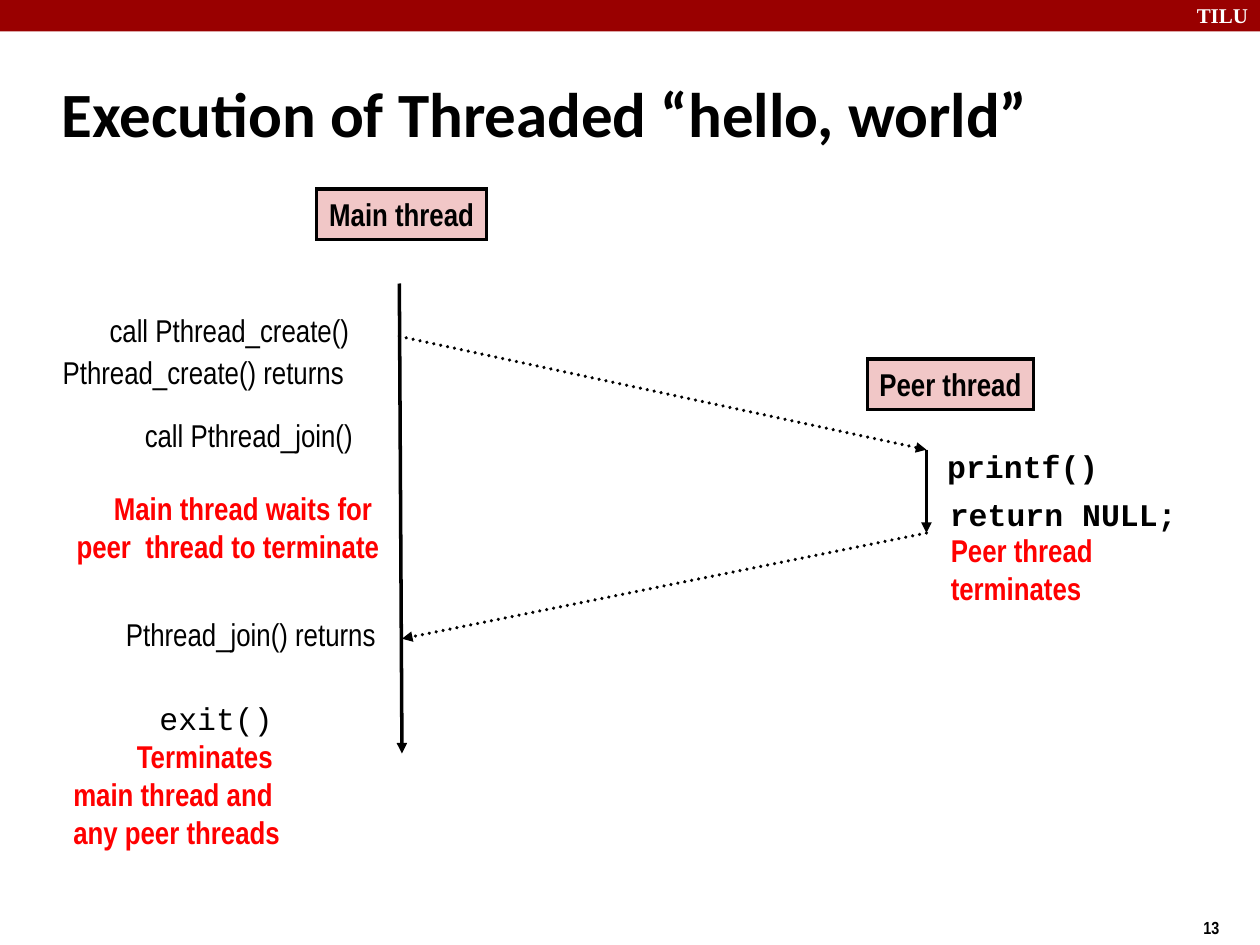
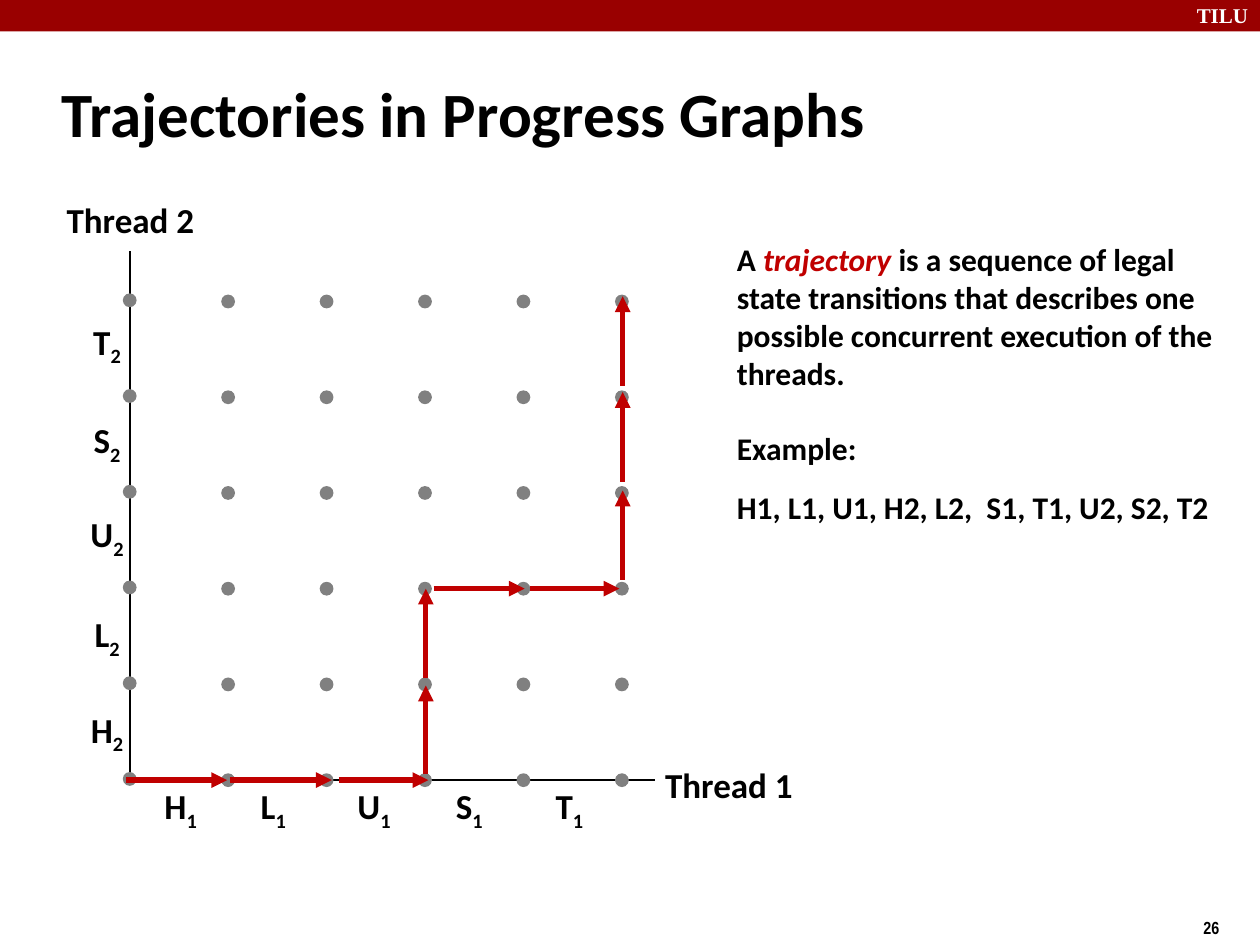
from lxml import etree
from pptx import Presentation
from pptx.dml.color import RGBColor
from pptx.enum.dml import MSO_LINE
from pptx.enum.shapes import MSO_CONNECTOR, MSO_SHAPE
from pptx.enum.text import MSO_ANCHOR, PP_ALIGN
from pptx.oxml.ns import qn
from pptx.util import Pt

# Shared look
BLACK, WHITE, BAND, ALERT, ACCENT = "000000", "FFFFFF", "990000", "FF0000", "C00000"
PINK, GREY = "F1C7C7", "808080"
NARROW = dict(font="Arial Narrow", size=18)
NARROW_BOLD = dict(NARROW, bold=True)
WARNING = dict(NARROW_BOLD, color=ALERT)
CODE = dict(font="Courier New", size=18)
CODE_BOLD = dict(CODE, bold=True)
TITLE = dict(font="Calibri", size=36, bold=True)
BODY = dict(TITLE, size=18)
AXIS = dict(TITLE, size=20)
BRAND = dict(font="Times New Roman", size=12, bold=True, color=WHITE)
PAGE = dict(NARROW_BOLD, size=10)
LEFT, CENTER, RIGHT = PP_ALIGN.LEFT, PP_ALIGN.CENTER, PP_ALIGN.RIGHT
TOP, MIDDLE = MSO_ANCHOR.TOP, MSO_ANCHOR.MIDDLE

# Slide 1: boxes are (left, top, width, height)
THREADS = [("Main thread", (180.9, 108, 97.2, 28.8)),
           ("Peer thread", (495.6, 205.2, 95, 28.8))]
EVENTS = [  # box, alignment, anchor, lines made of (text, style) runs
    ((56.2, 174.2, 150.5, 28.8), RIGHT, TOP, [[("call Pthread_create()", NARROW)]]),
    ((30.2, 198, 173.5, 28.8), RIGHT, TOP, [[("Pthread_create() returns", NARROW)]]),
    ((76.3, 234, 132.5, 28.8), RIGHT, TOP, [[("call Pthread_join()", NARROW)]]),
    ((37.4, 275.8, 186.5, 50.4), RIGHT, MIDDLE,
     [[("Main thread waits for ", WARNING)], [("peer  thread to terminate", WARNING)]]),
    ((23.8, 347.8, 198, 28.8), RIGHT, TOP, [[("Pthread_join() returns", NARROW)]]),
    ((35.3, 396, 131.8, 93.6), RIGHT, MIDDLE,
     [[("exit()", CODE), (" ", NARROW)], [("Terminates ", WARNING)],
      [("main thread and ", WARNING)], [("any peer threads", WARNING)]]),
    ((534.2, 252, 100.8, 28.8), LEFT, MIDDLE, [[("printf()", CODE_BOLD)]]),
    ((535.7, 279.4, 144, 28.8), LEFT, MIDDLE, [[("return NULL;", CODE_BOLD)]]),
    ((536.2, 300.2, 95, 50.4), LEFT, TOP,
     [[("Peer thread", WARNING)], [("terminates", WARNING)]]),
]
MAIN_START, MAIN_END = (228.2, 162), (229.7, 430.6)
PEER_START, PEER_END = (529.4, 257), (529.4, 304.6)
CREATE, JOIN = (228.2, 192.2), (229.7, 365)

# Slide 2
STEPS = [  # letter, centre along the Thread 1 axis, centre along the Thread 2 axis
    ("H", 103.3, 418.3), ("L", 156.2, 363.6), ("U", 213.8, 306.7),
    ("S", 268.2, 252.7), ("T", 325.4, 196.6)]
GRID_X, GRID_Y, COL_GAP, ROW_GAP = 74.1, 445.8, 56.25, 54.7
DOT = 5.8
AXIS_NAMES = [("Thread 1", (373, 432.7, 87.1, 31)), ("Thread 2", (31, 110.2, 87.1, 31))]
TRAJECTORY = [  # move, gap after its first dot, reach past its last dot
    ("H1", -2, -0.5), ("L1", 1, 3), ("U1", 7, 2), ("H2", 3.6, -0.7), ("L2", 3.6, 0),
    ("S1", 5, 0.7), ("T1", 3.6, -1.4), ("U2", 5, 1.4), ("S2", 6.5, 3), ("T2", 6.5, 3)]
EXPLANATION = [  # space before, runs
    (0, [("A ", BODY), ("trajectory", dict(BODY, color=ACCENT, italic=True)),
         (" is a sequence of legal state transitions that describes one "
          "possible concurrent execution of the threads.", BODY)]),
    (21.6, [("Example:", BODY)]),
    (12, [("H1, L1, U1, H2, L2,  S1, T1, U2, S2, T2", BODY)])]


def rgb(color):
    return RGBColor.from_string(color)


def add_run(paragraph, text, font, size, bold=False, italic=False, color=BLACK, baseline=0):
    run = paragraph.add_run()
    run.text = text
    run.font.name, run.font.size = font, Pt(size)
    run.font.bold, run.font.italic = bold, italic
    run.font.color.rgb = rgb(color)
    if baseline:
        run.font._element.set("baseline", str(baseline * 1000))


def write(shape, paragraphs, align=LEFT, anchor=TOP, wrap=False):
    """Fill a shape with paragraphs given as (space before, runs)."""
    frame = shape.text_frame
    frame.word_wrap, frame.vertical_anchor = wrap, anchor
    if not wrap:  # free the sides the text is not aligned to, so lines stay whole
        if align != LEFT:
            frame.margin_left = 0
        if align != RIGHT:
            frame.margin_right = 0
    for i, (space, runs) in enumerate(paragraphs):
        paragraph = frame.add_paragraph() if i else frame.paragraphs[0]
        paragraph.alignment = align
        if space:
            paragraph.space_before = Pt(space)
        for text, style in runs:
            add_run(paragraph, text, **style)


def add_text(slide, box, paragraphs, **layout):
    write(slide.shapes.add_textbox(*map(Pt, box)), paragraphs, **layout)


def add_filled(slide, kind, box, fill, outline=None):
    shape = slide.shapes.add_shape(kind, *map(Pt, box))
    shape.shadow.inherit = False
    shape.fill.solid()
    shape.fill.fore_color.rgb = rgb(fill)
    if outline:
        shape.line.color.rgb = rgb(outline)
        shape.line.width = Pt(2)
        etree.SubElement(shape.line._ln, qn("a:miter"), lim="800000")
    else:
        shape.line.fill.background()
    return shape


def add_line(slide, start, end, color=BLACK, width=2, arrow=True, dotted=False):
    line = slide.shapes.add_connector(MSO_CONNECTOR.STRAIGHT, *map(Pt, start + end))
    line.line.color.rgb = rgb(color)
    line.line.width = Pt(width)
    properties = line._element.spPr
    outline = properties.find(qn("a:ln"))
    if dotted:
        line.line.dash_style = MSO_LINE.ROUND_DOT
        outline.set("cap", "rnd")
    if arrow:
        etree.SubElement(outline, qn("a:tailEnd"), type="triangle")
    etree.SubElement(properties, qn("a:effectLst"))


def start_slide(deck, title, page):
    """Add a blank slide with the band, title and page number."""
    slide = deck.slides.add_slide(deck.slide_layouts[6])
    add_filled(slide, MSO_SHAPE.RECTANGLE, (0, 0, 720, 18), BAND)
    add_text(slide, (676.8, -2.2, 48.2, 21.6), [(0, [("TILU", BRAND)])], wrap=True)
    add_text(slide, (680.6, 520.6, 54, 20.9), [(0, [(page, PAGE)])])
    add_text(slide, (28.1, 34.2, 597.6, 59.8), [(0, [(title, TITLE)])],
             anchor=MIDDLE, wrap=True)
    return slide


def build_execution(deck):
    slide = start_slide(deck, "Execution of Threaded “hello, world”", "13")
    for name, box in THREADS:
        header = add_filled(slide, MSO_SHAPE.RECTANGLE, box, PINK, BLACK)
        write(header, [(0, [(name, NARROW_BOLD)])], CENTER, MIDDLE)
    add_line(slide, MAIN_START, MAIN_END)
    add_line(slide, PEER_START, PEER_END)
    add_line(slide, CREATE, PEER_START, dotted=True)
    add_line(slide, PEER_END, JOIN, dotted=True)
    for box, align, anchor, lines in EVENTS:
        add_text(slide, box, [(0, runs) for runs in lines], align=align, anchor=anchor)


def grid_point(col, row):
    return GRID_X + col * COL_GAP, GRID_Y - row * ROW_GAP


def add_step_label(slide, step, thread, center_x, center_y):
    runs = [(step, AXIS), (thread, dict(AXIS, baseline=-25))]
    add_text(slide, (center_x - 16.5, center_y - 17.3, 33, 34.6), [(10, runs)],
             align=CENTER, anchor=MIDDLE)


def add_trajectory(slide):
    col = row = 0
    for move, gap, reach in TRAJECTORY:
        x, y = grid_point(col, row)
        if move.endswith("1"):
            col += 1
            add_line(slide, (x + gap, y), (x + COL_GAP + reach, y), ACCENT, 3)
        else:
            row += 1
            add_line(slide, (x + 0.5, y - gap), (x + 0.5, y - ROW_GAP - reach), ACCENT, 3)


def build_trajectories(deck):
    slide = start_slide(deck, "Trajectories in Progress Graphs", "26")
    add_text(slide, (414, 133.9, 299.5, 169.9), EXPLANATION, anchor=MIDDLE, wrap=True)
    origin = (GRID_X, GRID_Y)
    for end in ((374.4, GRID_Y), (GRID_X, 143.3)):
        add_line(slide, origin, end, width=1, arrow=False)
    for step, along_x, along_y in STEPS:
        add_step_label(slide, step, "1", along_x, 462.2)
        add_step_label(slide, step, "2", 61.2, along_y)
    for name, box in AXIS_NAMES:
        add_text(slide, box, [(0, [(name, AXIS)])], align=CENTER, anchor=MIDDLE)
    for col in range(len(STEPS) + 1):
        for row in range(len(STEPS) + 1):
            x, y = grid_point(col, row)
            lift = 0 if col else 0.7
            add_filled(slide, MSO_SHAPE.OVAL,
                       (x - DOT / 2, y - DOT / 2 - lift, DOT, DOT), GREY, GREY)
    add_trajectory(slide)


def main():
    deck = Presentation()
    deck.slide_width, deck.slide_height = Pt(720), Pt(540)
    build_execution(deck)
    build_trajectories(deck)
    deck.save("out.pptx")


if __name__ == "__main__":
    main()
